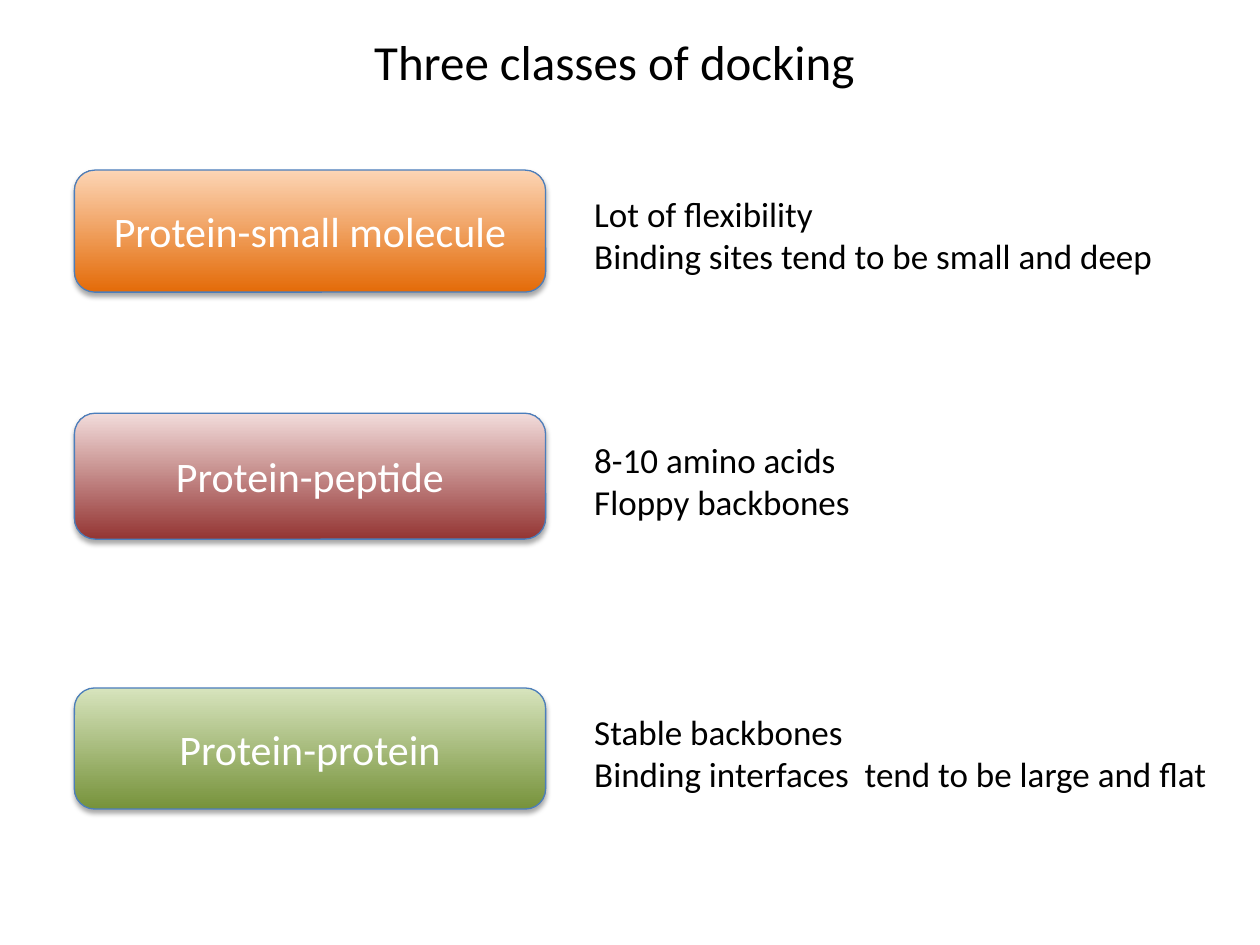
from lxml.etree import SubElement
from pptx import Presentation
from pptx.dml.color import RGBColor
from pptx.enum.shapes import MSO_SHAPE
from pptx.enum.text import MSO_ANCHOR, MSO_AUTO_SIZE, PP_ALIGN
from pptx.oxml.ns import qn
from pptx.util import Cm, Pt

# Content: label, gradient colours, notes, then tops, box height and notes width in cm
TITLE = "Three classes of docking"
CLASSES = [
    ("Protein-small molecule", ("orange", "peach"),
     ["Lot of flexibility", "Binding sites tend to be small and deep"],
     3.43, 2.46, 3.76, 12.01),
    ("Protein-peptide", ("red", "pink"),
     ["8-10 amino acids", "Floppy backbones"],
     8.33, 2.54, 8.71, 11.1),
    ("Protein-protein", ("green", "lime"),
     ["Stable backbones", "Binding interfaces  tend to be large and flat"],
     13.87, 2.44, 14.2, 13),
]
COLORS = {
    "text": "000000", "label": "FFFFFF", "outline": "4B7EBC", "shadow": "000000",
    "orange": "E46C0A", "peach": "FCD5B5",
    "red": "953735", "pink": "F2DCDB",
    "green": "77933C", "lime": "D7E4BD",
}
FONT = "Calibri"
BOX_LEFT, BOX_WIDTH = 1.5, 9.5
NOTES_LEFT, NOTES_HEIGHT = 11.73, 1.96


def color(name):
    return RGBColor.from_string(COLORS[name])


def write(frame, lines, size, color_name, align):
    frame.text = "\n".join(lines)
    for para in frame.paragraphs:
        para.alignment = align
        for span in para.runs:
            span.font.name = FONT
            span.font.size = Pt(size)
            span.font.color.rgb = color(color_name)


def add_soft_shadow(shape):
    shape.shadow.inherit = False
    effects = shape._element.spPr.find(qn("a:effectLst"))
    shadow = SubElement(effects, qn("a:outerShdw"), blurRad=str(Pt(3.1)),
                        dist=str(Pt(1.8)), dir="5400000", rotWithShape="0")
    tone = SubElement(shadow, qn("a:srgbClr"), val=COLORS["shadow"])
    SubElement(tone, qn("a:alpha"), val="35000")


def add_class_box(page, label, gradient, top, height):
    box = page.shapes.add_shape(MSO_SHAPE.ROUNDED_RECTANGLE, Cm(BOX_LEFT), Cm(top),
                                Cm(BOX_WIDTH), Cm(height))
    box.fill.gradient()
    box.fill.gradient_angle = 90
    for stop, name, position in zip(box.fill.gradient_stops, gradient, (0.01, 1)):
        stop.color.rgb = color(name)
        stop.position = position
    box.line.color.rgb = color("outline")
    box.line.width = Pt(0.75)
    add_soft_shadow(box)
    box.text_frame.vertical_anchor = MSO_ANCHOR.MIDDLE
    write(box.text_frame, [label], 24, "label", PP_ALIGN.CENTER)


def add_notes(page, lines, top, width):
    box = page.shapes.add_textbox(Cm(NOTES_LEFT), Cm(top), Cm(width), Cm(NOTES_HEIGHT))
    box.text_frame.word_wrap = True
    box.text_frame.auto_size = MSO_AUTO_SIZE.SHAPE_TO_FIT_TEXT
    write(box.text_frame, lines, 20, "text", PP_ALIGN.LEFT)


def main():
    deck = Presentation()
    deck.slide_width, deck.slide_height = Cm(25.4), Cm(19.05)
    page = deck.slides.add_slide(deck.slide_layouts[5])

    # Title
    title = page.shapes.title
    title.left, title.top, title.width, title.height = Cm(7.29), Cm(0.51), Cm(10.31), Cm(1.45)
    title.text_frame.word_wrap = False
    title.text_frame.auto_size = MSO_AUTO_SIZE.SHAPE_TO_FIT_TEXT
    title.text_frame.vertical_anchor = MSO_ANCHOR.TOP
    write(title.text_frame, [TITLE], 28, "text", PP_ALIGN.LEFT)

    # One row per docking class
    for label, gradient, lines, box_top, box_height, notes_top, notes_width in CLASSES:
        add_class_box(page, label, gradient, box_top, box_height)
        add_notes(page, lines, notes_top, notes_width)

    deck.save("out.pptx")


if __name__ == "__main__":
    main()
